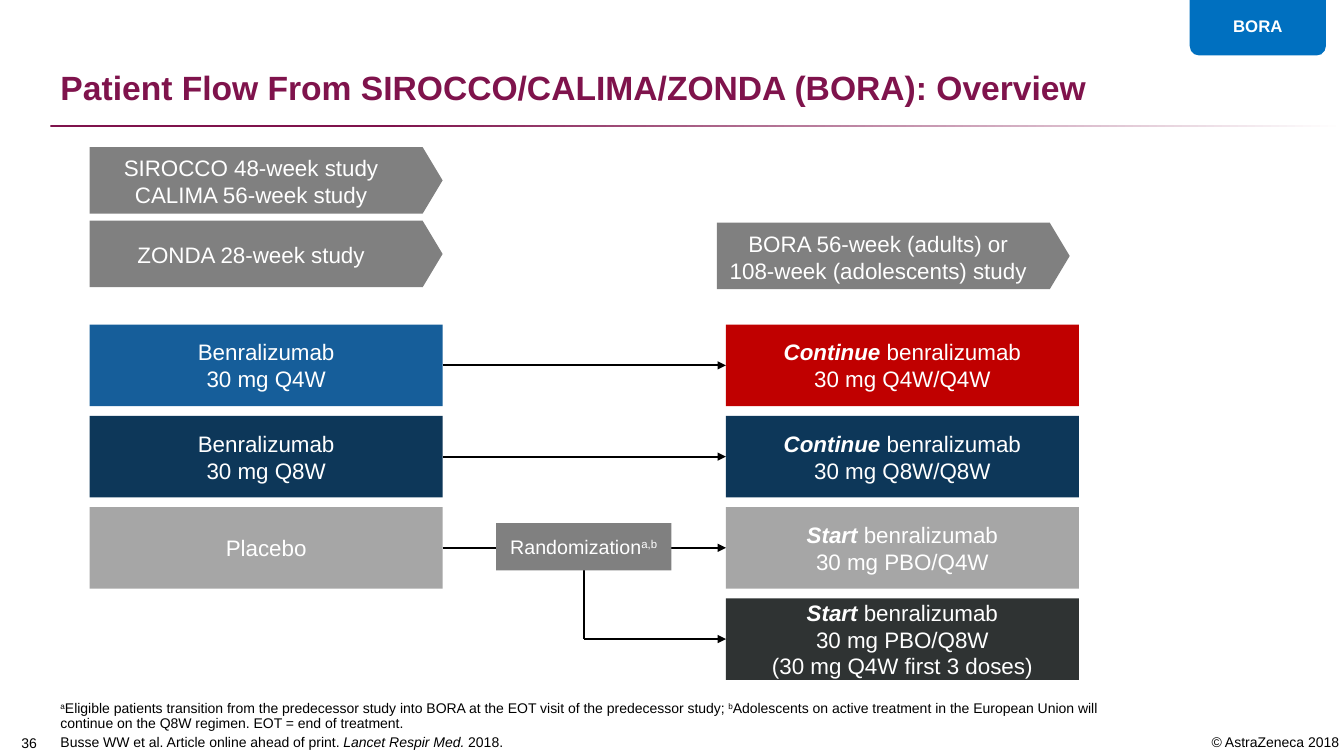
from dataclasses import dataclass

from lxml.etree import SubElement
from pptx import Presentation
from pptx.dml.color import RGBColor
from pptx.enum.shapes import MSO_CONNECTOR, MSO_SHAPE
from pptx.enum.text import MSO_ANCHOR, MSO_AUTO_SIZE, PP_ALIGN
from pptx.oxml.ns import qn
from pptx.util import Inches, Pt

BLACK = RGBColor(0x00, 0x00, 0x00)
WHITE = RGBColor(0xFF, 0xFF, 0xFF)
PLUM = RGBColor(0x7F, 0x13, 0x4C)
GRAY = RGBColor(0x80, 0x80, 0x80)
LIGHT_GRAY = RGBColor(0xA6, 0xA6, 0xA6)
CHARCOAL = RGBColor(0x2F, 0x33, 0x33)
BLUE = RGBColor(0x16, 0x5E, 0x9A)
NAVY = RGBColor(0x0D, 0x37, 0x59)
RED = RGBColor(0xC0, 0x00, 0x00)
TAB_BLUE = RGBColor(0x00, 0x70, 0xC0)

FONT = "Arial"
BLOCK_WIDTH = 3.5
ARM_HEIGHT, ARM_TOP, ARM_PITCH = 0.81, 3.22, 0.905
BANNER_HEIGHT = 0.66
BEFORE_X, AFTER_X = 0.89, 7.2
BRANCH_X = 5.79


@dataclass(frozen=True)
class Run:
    text: str
    bold: bool = False
    italic: bool = False
    superscript: bool = False


@dataclass(frozen=True)
class Box:
    left: float
    top: float
    width: float
    height: float


@dataclass(frozen=True)
class Banner:
    left: float
    top: float
    lines: list[str]


@dataclass(frozen=True)
class Arm:
    left: float
    row: int
    color: RGBColor
    lines: list[list[Run]]


@dataclass(frozen=True)
class Line:
    start: tuple[float, float]
    end: tuple[float, float]
    arrow: bool = True


def arm_middle(row: int) -> float:
    return ARM_TOP + row * ARM_PITCH + ARM_HEIGHT / 2


def emphasized(word: str, rest: str) -> list[Run]:
    return [Run(word, bold=True, italic=True), Run(rest)]


BANNERS = [
    Banner(BEFORE_X, 1.46, ["SIROCCO 48-week study", "CALIMA 56-week study"]),
    Banner(BEFORE_X, 2.19, ["ZONDA 28-week study"]),
    Banner(7.11, 2.21, ["BORA 56-week (adults) or", "108-week (adolescents) study"]),
]
ARMS = [
    Arm(BEFORE_X, 0, BLUE, [[Run("Benralizumab")], [Run("30 mg Q4W")]]),
    Arm(BEFORE_X, 1, NAVY, [[Run("Benralizumab")], [Run("30 mg Q8W")]]),
    Arm(BEFORE_X, 2, LIGHT_GRAY, [[Run("Placebo")]]),
    Arm(AFTER_X, 0, RED, [emphasized("Continue", " benralizumab"), [Run("30 mg Q4W/Q4W")]]),
    Arm(AFTER_X, 1, NAVY, [emphasized("Continue", " benralizumab"), [Run("30 mg Q8W/Q8W")]]),
    Arm(AFTER_X, 2, LIGHT_GRAY, [emphasized("Start", " benralizumab"), [Run("30 mg PBO/Q4W")]]),
    Arm(AFTER_X, 3, CHARCOAL, [emphasized("Start", " benralizumab"), [Run("30 mg PBO/Q8W")],
                               [Run("(30 mg Q4W first 3 doses)")]]),
]
LINES = [Line((BEFORE_X + BLOCK_WIDTH, arm_middle(row)), (AFTER_X, arm_middle(row)))
         for row in range(3)] + [
    Line((BRANCH_X, arm_middle(2)), (BRANCH_X, arm_middle(3)), arrow=False),
    Line((BRANCH_X, arm_middle(3)), (AFTER_X, arm_middle(3))),
]
FOOTNOTES = [
    [Run("a", superscript=True),
     Run("Eligible patients transition from the predecessor study into BORA at the EOT visit "
         "of the predecessor study; "),
     Run("b", superscript=True),
     Run("Adolescents on active treatment in the European Union will continue on the Q8W "
         "regimen. EOT = end of treatment.")],
    [Run("Busse WW et al. Article online ahead of print. "),
     Run("Lancet Respir Med. ", italic=True), Run("2018.")],
]


def write(shape, lines: list[list[Run]], size: float, color: RGBColor,
          align=PP_ALIGN.CENTER, anchor=MSO_ANCHOR.MIDDLE,
          margins: tuple[float, float, float, float] = (0, 0, 0, 0)) -> None:
    """Fill a shape with paragraphs; margins are left, top, right, bottom."""
    frame = shape.text_frame
    frame.word_wrap = True
    frame.auto_size = MSO_AUTO_SIZE.NONE
    frame.vertical_anchor = anchor
    (frame.margin_left, frame.margin_top,
     frame.margin_right, frame.margin_bottom) = map(Inches, margins)
    for index, runs in enumerate(lines):
        paragraph = frame.add_paragraph() if index else frame.paragraphs[0]
        paragraph.alignment = align
        paragraph.space_before = Pt(0)
        font = paragraph.font
        font.name, font.size, font.color.rgb = FONT, Pt(size), color
        for part in runs:
            run = paragraph.add_run()
            run.text = part.text
            run.font.bold, run.font.italic = part.bold, part.italic
            if part.superscript:
                run._r.get_or_add_rPr().set("baseline", "30000")


def place(shape, box: Box) -> None:
    shape.left, shape.top = Inches(box.left), Inches(box.top)
    shape.width, shape.height = Inches(box.width), Inches(box.height)


def add_block(slide, kind, box: Box, color: RGBColor):
    shape = slide.shapes.add_shape(kind, Inches(box.left), Inches(box.top),
                                   Inches(box.width), Inches(box.height))
    shape.shadow.inherit = False
    shape.fill.solid()
    shape.fill.fore_color.rgb = color
    shape.line.fill.background()
    return shape


def add_line(slide, line: Line) -> None:
    connector = slide.shapes.add_connector(
        MSO_CONNECTOR.STRAIGHT, *map(Inches, line.start + line.end))
    connector.line.color.rgb = BLACK
    connector.line.width = Pt(1.5)
    if line.arrow:
        SubElement(connector.line._get_or_add_ln(), qn("a:tailEnd"), type="triangle")
    SubElement(connector._element.spPr, qn("a:effectLst"))


def add_label(slide, box: Box, text: str, align, anchor) -> None:
    label = slide.shapes.add_textbox(0, 0, 0, 0)
    place(label, box)
    write(label, [[Run(text)]], 10, BLACK, align, anchor, (0.1, 0.05, 0.05, 0.05))


def main() -> None:
    presentation = Presentation()
    presentation.slide_width, presentation.slide_height = Inches(13.33), Inches(7.5)
    slide = presentation.slides.add_slide(presentation.slide_layouts[1])

    # Title and the fading rule below it
    title, body = slide.shapes.title, slide.placeholders[1]
    place(title, Box(0.5, 0.25, 12.33, 0.87))
    write(title, [[Run("Patient Flow From SIROCCO/CALIMA/ZONDA (BORA): Overview", bold=True)]],
          24, PLUM, PP_ALIGN.LEFT, MSO_ANCHOR.BOTTOM, (0.1, 0.05, 0.1, 0.05))
    title.text_frame.paragraphs[0].line_spacing = 0.9
    rule = add_block(slide, MSO_SHAPE.RECTANGLE, Box(0.5, 1.24, 12.83, 0.02), PLUM)
    rule.fill.gradient()
    rule.fill.gradient_angle = 0
    for stop, position, color in zip(rule.fill.gradient_stops, (0.26, 1), (PLUM, WHITE)):
        stop.position, stop.color.rgb = position, color

    # Footnotes, slide number and copyright
    place(body, Box(0.5, 6.4, 10.78, 1.1))
    for index in range(len(FOOTNOTES)):
        paragraph = body.text_frame.paragraphs[0] if index == 0 else None
    write(body, FOOTNOTES, 10, BLACK, PP_ALIGN.LEFT, MSO_ANCHOR.BOTTOM, (0.1, 0.05, 0.1, 0.05))
    for index, paragraph in enumerate(body.text_frame.paragraphs):
        properties = paragraph._p.get_or_add_pPr()
        properties.set("marL", "0")
        properties.set("indent", "0")
        paragraph.line_spacing = 0.9
        paragraph.space_before = Pt(3 * index)
        properties.insert_element_before(
            SubElement(properties, qn("a:buNone")), "a:tabLst", "a:defRPr", "a:extLst")
    add_label(slide, Box(0, 7.21, 0.53, 0.29), "36", PP_ALIGN.CENTER, MSO_ANCHOR.BOTTOM)
    add_label(slide, Box(11.11, 7.23, 2.22, 0.27), "© AstraZeneca 2018",
              PP_ALIGN.RIGHT, MSO_ANCHOR.TOP)

    # Study banners
    for banner in BANNERS:
        shape = add_block(slide, MSO_SHAPE.PENTAGON,
                          Box(banner.left, banner.top, BLOCK_WIDTH, BANNER_HEIGHT), GRAY)
        shape.adjustments[0] = 0.3
        write(shape, [[Run(text)] for text in banner.lines], 16, WHITE,
              margins=(0, 0.02, 0.2, 0))

    # Treatment arms, arrows and randomization
    for arm in ARMS:
        top = ARM_TOP + arm.row * ARM_PITCH
        shape = add_block(slide, MSO_SHAPE.RECTANGLE,
                          Box(arm.left, top, BLOCK_WIDTH, ARM_HEIGHT), arm.color)
        write(shape, arm.lines, 16, WHITE)
    for line in LINES:
        add_line(slide, line)
    randomization = add_block(slide, MSO_SHAPE.RECTANGLE, Box(4.92, 5.19, 1.74, 0.47), GRAY)
    write(randomization, [[Run("Randomization"), Run("a,b", superscript=True)]], 14, WHITE)

    # Study tab
    tab = add_block(slide, MSO_SHAPE.ROUND_2_SAME_RECTANGLE, Box(11.8, 0, 1.35, 0.55), TAB_BLUE)
    tab.rotation = 180
    tab_label = slide.shapes.add_textbox(0, 0, 0, 0)
    place(tab_label, Box(11.8, 0.11, 1.35, 0.3))
    write(tab_label, [[Run("BORA", bold=True)]], 12, WHITE)

    presentation.save("out.pptx")


if __name__ == "__main__":
    main()
